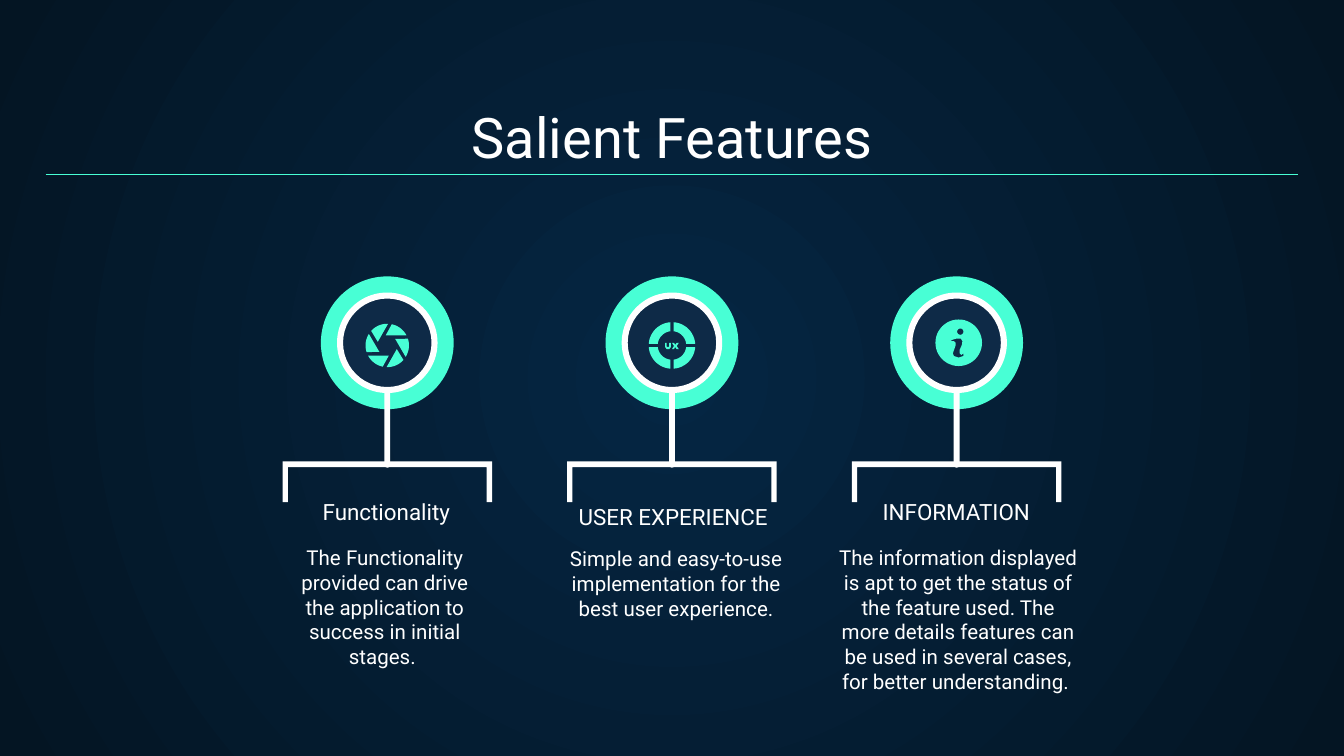
from math import asin, cos, radians, sin, tau

from lxml import etree
from pptx import Presentation
from pptx.dml.color import RGBColor
from pptx.enum import shapes, text
from pptx.oxml.ns import qn
from pptx.util import Cm, Pt

WHITE = RGBColor(0xFF, 0xFF, 0xFF)
MINT = RGBColor(0x48, 0xFF, 0xD5)
NAVY = RGBColor(0x0E, 0x2A, 0x47)
GLOW = RGBColor(0x05, 0x26, 0x43)
NIGHT = RGBColor(0x04, 0x15, 0x23)
FONT = "Roboto"

TITLE = "Salient Features"
FEATURES = [
    {"head": "Functionality", "head_box": (4.42, 9.65, 5.77, 0.53),
     "body": "The Functionality provided can drive the application to success "
             "in initial stages. ",
     "body_box": (5.28, 10.06, 3.99, 2.54)},
    {"head": "USER EXPERIENCE", "head_box": (10.49, 9.73, 4.47, 0.53),
     "body": "Simple and easy-to-use implementation for the best user experience.",
     "body_box": (10.24, 10.08, 5.08, 2.51)},
    {"head": "INFORMATION", "head_box": (15.19, 9.65, 5.77, 0.53),
     "body": "The information displayed is apt to get the status of the feature "
             "used. The more details features can be used in several cases, "
             "for better understanding. ",
     "body_box": (15.57, 10.06, 5.08, 1.4)},
]
FIRST_CENTRE, STEP = 7.32, 5.38
BADGE_Y = 6.48

LETTER_U = [(-.13, -.05), (-.13, .03), (-.1, .07), (-.05, .07), (-.02, .03),
            (-.02, -.05), (-.05, -.05), (-.05, .02), (-.06, .03), (-.09, .03),
            (-.1, .02), (-.1, -.05)]
LETTER_X = [(0, -.05), (.04, .01), (0, .07), (.04, .07), (.06, .03), (.09, .07),
            (.13, .07), (.09, .01), (.13, -.05), (.09, -.05), (.06, -.01), (.04, -.05)]
LETTER_I = [(-.14, -.05), (-.04, -.08), (.04, -.08), (.07, -.03), (.06, .04),
            (.02, .13), (.02, .2), (.05, .23), (.09, .2), (.09, .25), (0, .28),
            (-.09, .25), (-.11, .2), (-.06, .05), (-.06, 0), (-.09, -.03), (-.14, -.03)]
BRACKET = [(-1.98, 8.72), (1.98, 8.72), (1.98, 9.49), (1.88, 9.49), (1.88, 8.83),
           (-1.88, 8.83), (-1.88, 9.49), (-1.98, 9.49)]


def arc(radius, start, end, steps=12, centre=(0, 0)):
    angles = [start + (end - start) * i / steps for i in range(steps + 1)]
    return [(centre[0] + radius * cos(a), centre[1] + radius * sin(a)) for a in angles]


def turn(points, angle):
    return [(x * cos(angle) - y * sin(angle), x * sin(angle) + y * cos(angle))
            for x, y in points]


def paint(shape, colour):
    shape.shadow.inherit = False
    shape.fill.solid()
    shape.fill.fore_color.rgb = colour
    shape.line.fill.background()


def add_outline(page, contours, x, y, colour):
    placed = [[(Cm(x + px), Cm(y + py)) for px, py in points] for points in contours]
    builder = page.shapes.build_freeform(*placed[0][0], scale=1.0)
    for index, points in enumerate(placed):
        if index:
            builder.move_to(*points[0])
        builder.add_line_segments(points[1:], close=True)
    paint(builder.convert_to_shape(), colour)


def add_round(page, kind, x, y, width, height, colour):
    shape = page.shapes.add_shape(kind, Cm(x - width / 2), Cm(y - height / 2),
                                  Cm(width), Cm(height))
    paint(shape, colour)
    return shape


def write(box, words, size, anchor):
    frame = box.text_frame
    frame.word_wrap = True
    frame.auto_size = text.MSO_AUTO_SIZE.NONE
    frame.vertical_anchor = anchor
    frame.margin_left = frame.margin_right = Cm(0.25)
    frame.margin_top = frame.margin_bottom = Cm(0.25)
    para = frame.paragraphs[0]
    para.alignment = text.PP_ALIGN.CENTER
    span = para.add_run()
    span.text = words
    span.font.name = FONT
    span.font.size = Pt(size)
    span.font.color.rgb = WHITE


def add_label(page, words, bounds, size, anchor):
    write(page.shapes.add_textbox(*map(Cm, bounds)), words, size, anchor)


def draw_badge(page, x):
    kinds = shapes.MSO_SHAPE
    add_outline(page, [BRACKET], x, 0, WHITE)
    add_round(page, kinds.OVAL, x, BADGE_Y, 2.51, 2.51, MINT)
    stem = add_round(page, kinds.ROUNDED_RECTANGLE, x, 7.57, 0.11, 2.54, WHITE)
    stem.adjustments[0] = 0.5
    add_round(page, kinds.OVAL, x, BADGE_Y, 1.78, 1.78, NAVY)
    ring = add_round(page, kinds.DONUT, x, BADGE_Y, 1.9, 1.9, WHITE)
    ring.adjustments[0] = 0.06


def draw_aperture(page, x):
    blade = [(-0.03, -0.19)] + arc(0.41, radians(-28), radians(-78))
    for k in range(6):
        add_outline(page, [turn(blade, k * tau / 6)], x, 6.53, MINT)


def draw_target(page, x):
    outer, inner, gap = 0.44, 0.27, 0.03
    trim_out, trim_in = asin(gap / outer), asin(gap / inner)
    sector = (arc(outer, trim_out, tau / 4 - trim_out)
              + arc(inner, tau / 4 - trim_in, trim_in))
    for k in range(4):
        add_outline(page, [turn(sector, k * tau / 4)], x, 6.53, MINT)
    for letter in (LETTER_U, LETTER_X):
        add_outline(page, [letter], x, 6.53, MINT)


def draw_info(page, x):
    disc = arc(0.44, 0, tau, 48)
    dot = arc(0.06, 0, -tau, 16, (0.03, -0.21))
    add_outline(page, [disc, dot, LETTER_I], x + 0.04, BADGE_Y, MINT)


def set_background(page):
    fill = page.background.fill
    fill.gradient()
    for stop, colour in zip(fill.gradient_stops, (GLOW, NIGHT)):
        stop.color.rgb = colour
    gradient = page.element.find(".//" + qn("a:gradFill"))
    gradient.remove(gradient.find(qn("a:lin")))
    path = etree.SubElement(gradient, qn("a:path"), {"path": "circle"})
    etree.SubElement(path, qn("a:fillToRect"), {side: "50000" for side in "ltrb"})


def main():
    deck = Presentation()
    deck.slide_width, deck.slide_height = Cm(25.4), Cm(14.29)
    page = deck.slides.add_slide(deck.slide_layouts[5])
    set_background(page)

    title = page.shapes.title
    title.left, title.top, title.width, title.height = map(Cm, (0.86, 1.78, 23.68, 1.68))
    write(title, TITLE, 30, text.MSO_ANCHOR.BOTTOM)

    icons = (draw_aperture, draw_target, draw_info)
    for index, (feature, draw_icon) in enumerate(zip(FEATURES, icons)):
        centre = FIRST_CENTRE + index * STEP
        draw_badge(page, centre)
        draw_icon(page, centre)
        add_label(page, feature["head"], feature["head_box"], 12, text.MSO_ANCHOR.BOTTOM)
        add_label(page, feature["body"], feature["body_box"], 11, text.MSO_ANCHOR.TOP)

    rule = page.shapes.add_connector(shapes.MSO_CONNECTOR.STRAIGHT,
                                     Cm(0.86), Cm(3.3), Cm(24.54), Cm(3.3))
    rule.line.color.rgb = MINT
    rule.line.width = Pt(0.75)
    etree.SubElement(rule.element.spPr, qn("a:effectLst"))
    deck.save("out.pptx")


if __name__ == "__main__":
    main()
